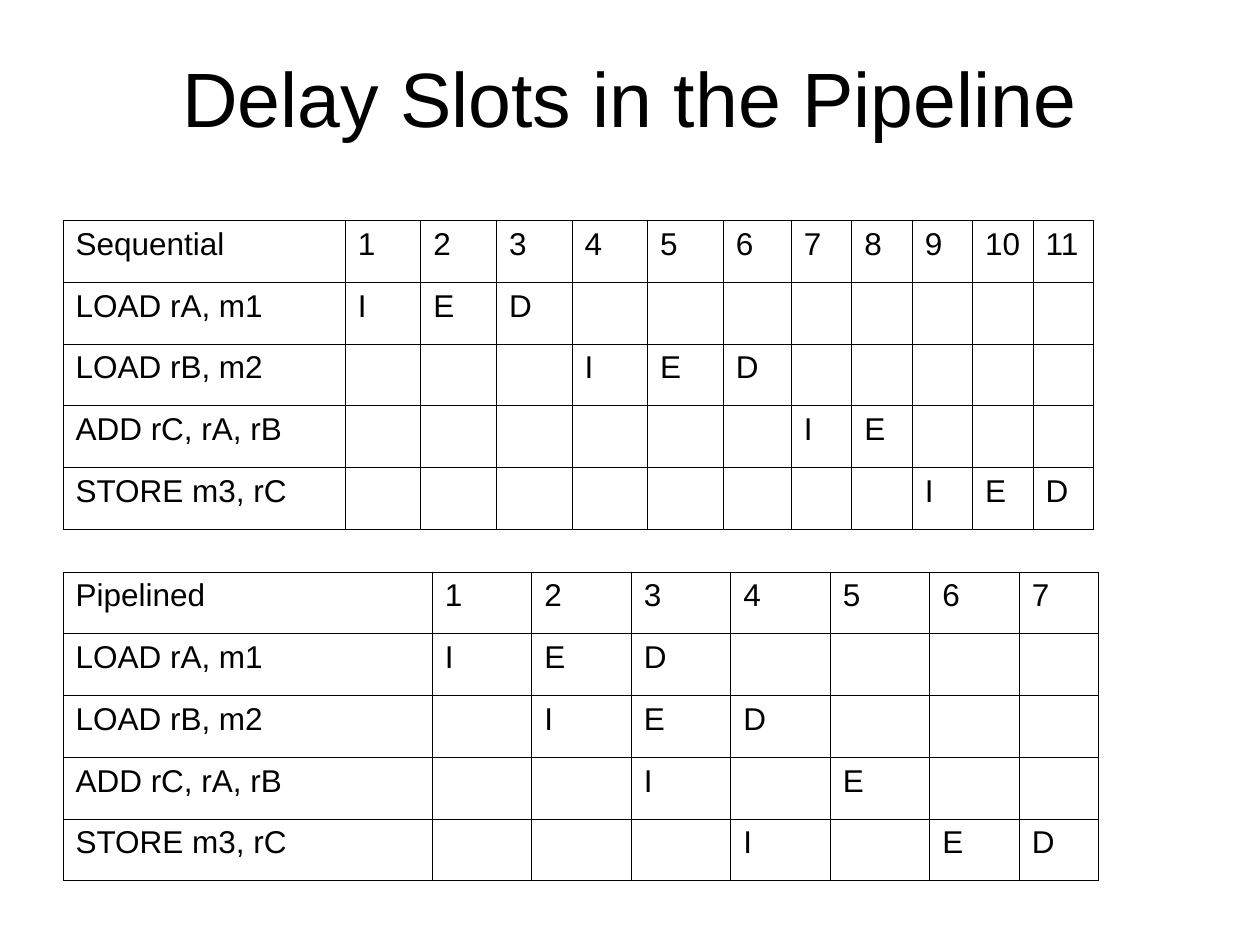
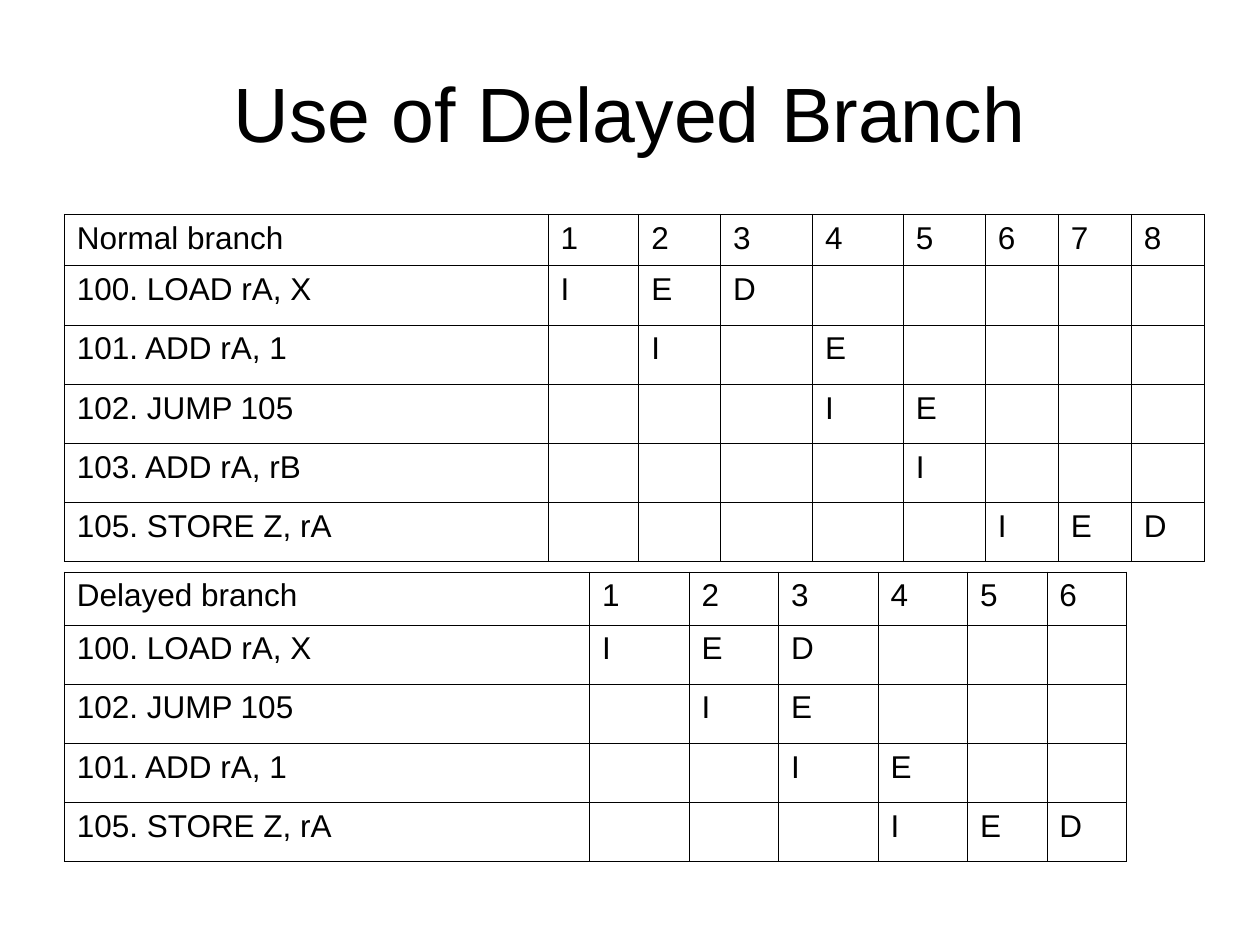
from lxml import etree
from pptx import Presentation
from pptx.dml.color import RGBColor
from pptx.enum import text
from pptx.oxml import ns
from pptx.util import Inches, Pt

BLACK = RGBColor(0x00, 0x00, 0x00)
FONT = "Arial"


class PipelineDeck:
    title_size = Pt(44)
    cell_size = Pt(18)
    border_width = Pt(0.45)

    def __init__(self):
        self.deck = Presentation()
        self.deck.slide_width = Inches(10)
        self.deck.slide_height = Inches(7.5)
        self.page = None

    def add_page(self):
        self.page = self.deck.slides.add_slide(self.deck.slide_layouts[6])

    def add_span(self, para, words, size):
        span = para.add_run()
        span.text = words
        span.font.name = FONT
        span.font.size = size
        span.font.color.rgb = BLACK

    def add_title(self, words, height):
        box = self.page.shapes.add_textbox(Inches(0.5), Inches(0.3), Inches(9), Inches(height))
        frame = box.text_frame
        frame.word_wrap = True
        frame.vertical_anchor = text.MSO_ANCHOR.MIDDLE
        para = frame.paragraphs[0]
        para.alignment = text.PP_ALIGN.CENTER
        para.line_spacing = 0.93
        self.add_span(para, words, self.title_size)

    def outline_cell(self, cell):
        properties = cell._tc.get_or_add_tcPr()
        for side in ("a:lnL", "a:lnR", "a:lnT", "a:lnB"):
            line = etree.SubElement(properties, ns.qn(side), w=str(int(self.border_width)))
            fill = etree.SubElement(line, ns.qn("a:solidFill"))
            etree.SubElement(fill, ns.qn("a:srgbClr"), val=str(BLACK))
        cell.fill.background()

    def add_timeline(self, left, top, widths, heights, heading, instructions):
        cycles = [str(number) for number in range(1, len(widths))]
        rows = [[heading, *cycles]]
        for instruction, stages in instructions:
            rows.append([instruction, *stages.ljust(len(cycles), ".")])
        table = self.page.shapes.add_table(
            len(rows), len(widths), Inches(left), Inches(top),
            Inches(sum(widths)), Inches(sum(heights))).table
        table.first_row = False
        table.horz_banding = False
        for column, width in zip(table.columns, widths):
            column.width = Inches(width)
        for row, height, entries in zip(table.rows, heights, rows):
            row.height = Inches(height)
            for cell, entry in zip(row.cells, entries):
                self.outline_cell(cell)
                para = cell.text_frame.paragraphs[0]
                if entry == ".":
                    para.font.size = self.cell_size
                else:
                    self.add_span(para, entry, self.cell_size)

    def save(self):
        self.deck.save("out.pptx")


def add_delay_slots(show):
    show.add_page()
    show.add_title("Delay Slots in the Pipeline", 1.01)
    heights = [0.49] * 5
    show.add_timeline(0.5, 4.54, [2.93] + [0.79] * 5 + [0.71, 0.63], heights, "Pipelined", [
        ("LOAD rA, m1", "IED"),
        ("LOAD rB, m2", ".IED"),
        ("ADD rC, rA, rB", "..I.E"),
        ("STORE m3, rC", "...I.ED"),
    ])
    show.add_timeline(0.5, 1.75, [2.24] + [0.6] * 5 + [0.54] + [0.48] * 5, heights, "Sequential", [
        ("LOAD rA, m1", "IED"),
        ("LOAD rB, m2", "...IED"),
        ("ADD rC, rA, rB", "......IE"),
        ("STORE m3, rC", "........IED"),
    ])


def add_delayed_branch(show):
    show.add_page()
    show.add_title("Use of Delayed Branch", 1.25)
    delayed_widths = [4.17, 0.79, 0.71, 0.79, 0.71, 0.63, 0.63]
    show.add_timeline(0.51, 4.54, delayed_widths, [0.42] + [0.47] * 4, "Delayed branch", [
        ("100. LOAD rA, X", "IED"),
        ("102. JUMP 105", ".IE"),
        ("101. ADD rA, 1", "..IE"),
        ("105. STORE Z, rA", "...IED"),
    ])
    normal_widths = [3.84, 0.72, 0.65, 0.73, 0.72, 0.65] + [0.58] * 3
    show.add_timeline(0.51, 1.7, normal_widths, [0.41] + [0.47] * 5, "Normal branch", [
        ("100. LOAD rA, X", "IED"),
        ("101. ADD rA, 1", ".I.E"),
        ("102. JUMP 105", "...IE"),
        ("103. ADD rA, rB", "....I"),
        ("105. STORE Z, rA", ".....IED"),
    ])


def main():
    show = PipelineDeck()
    add_delay_slots(show)
    add_delayed_branch(show)
    show.save()


if __name__ == "__main__":
    main()
